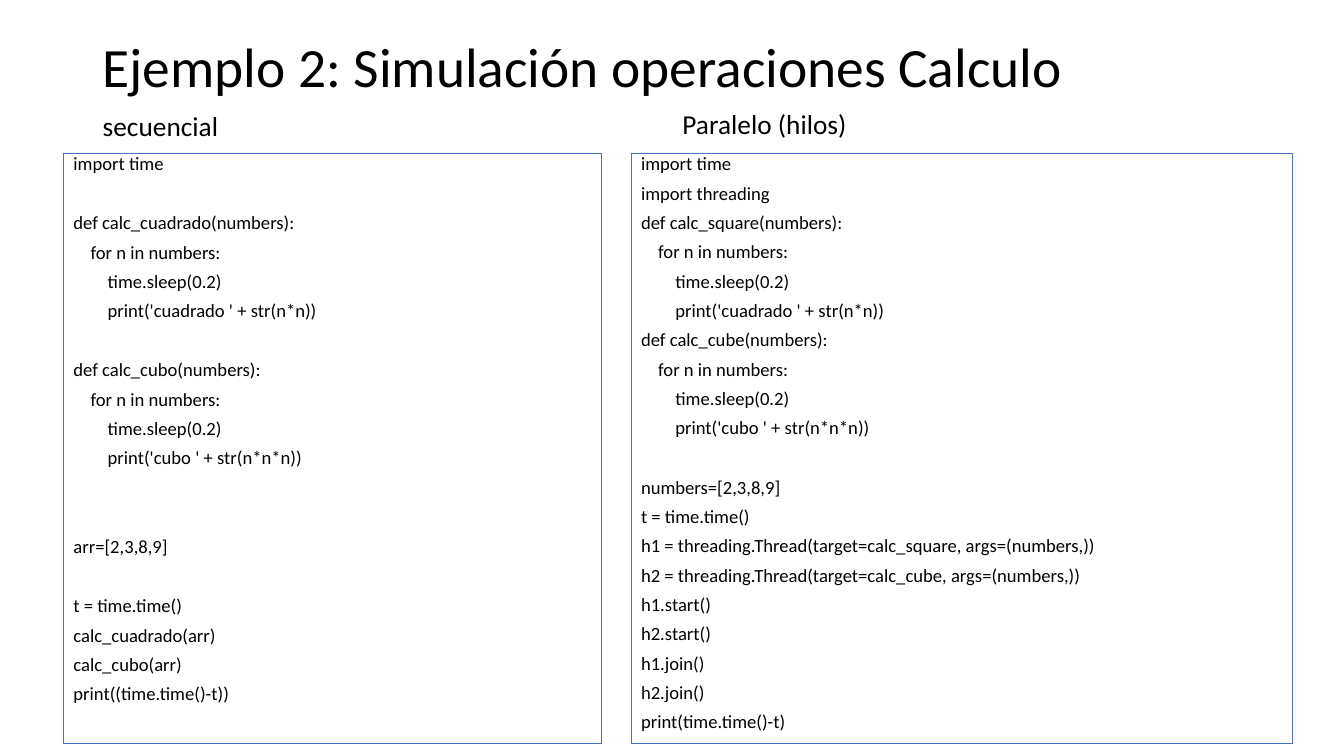
import dataclasses

import pptx
import pptx.dml.color
import pptx.enum.shapes
import pptx.enum.text
from pptx.util import Inches


@dataclasses.dataclass(frozen=True)
class Theme:
    font: str = "Calibri"
    ink: pptx.dml.color.RGBColor = pptx.dml.color.RGBColor(0, 0, 0)
    border: pptx.dml.color.RGBColor = pptx.dml.color.RGBColor(0x44, 0x72, 0xC4)
    border_width: float = 0.25
    title_size: float = 39.6
    heading_size: float = 19.5
    code_size: float = 13.3
    code_gap: float = 9.8
    code_pitch: float = 21.2
    indent: float = 0.17


THEME = Theme()

SEQUENTIAL_CODE = """\
import time

def calc_cuadrado(numbers):
    for n in numbers:
        time.sleep(0.2)
        print('cuadrado ' + str(n*n))

def calc_cubo(numbers):
    for n in numbers:
        time.sleep(0.2)
        print('cubo ' + str(n*n*n))


arr=[2,3,8,9]

t = time.time()
calc_cuadrado(arr)
calc_cubo(arr)
print((time.time()-t))"""

THREADED_CODE = """\
import time
import threading
def calc_square(numbers):
    for n in numbers:
        time.sleep(0.2)
        print('cuadrado ' + str(n*n))
def calc_cube(numbers):
    for n in numbers:
        time.sleep(0.2)
        print('cubo ' + str(n*n*n))

numbers=[2,3,8,9]
t = time.time()
h1 = threading.Thread(target=calc_square, args=(numbers,))
h2 = threading.Thread(target=calc_cube, args=(numbers,))
h1.start()
h2.start()
h1.join()
h2.join()
print(time.time()-t)"""


def apply_format(target, values):
    for name, value in values.items():
        setattr(target, name, value)


def write_line(para, text, size, layout):
    apply_format(para, {"alignment": pptx.enum.text.PP_ALIGN.LEFT, **layout})
    span = para.add_run()
    span.text = text
    apply_format(span.font, {"name": THEME.font, "size": pptx.util.Pt(size)})
    span.font.color.rgb = THEME.ink


def add_label(page, text, size, left, top, width):
    box = page.shapes.add_textbox(
        Inches(left), Inches(top), Inches(width), Inches(0.58))
    apply_format(box.text_frame, {
        "word_wrap": True,
        "vertical_anchor": pptx.enum.text.MSO_ANCHOR.MIDDLE,
    })
    write_line(box.text_frame.paragraphs[0], text, size, {"line_spacing": 0.9})


def add_code_panel(page, code, left, width):
    """Frame a listing; empty lines become spacing and leading blanks indents."""
    panel = page.shapes.add_shape(
        pptx.enum.shapes.MSO_SHAPE.RECTANGLE,
        Inches(left), Inches(1.52), Inches(width), Inches(5.85))
    panel.shadow.inherit = False
    panel.fill.background()
    panel.line.color.rgb = THEME.border
    panel.line.width = pptx.util.Pt(THEME.border_width)
    frame = panel.text_frame
    apply_format(frame, {
        "word_wrap": True,
        "vertical_anchor": pptx.enum.text.MSO_ANCHOR.TOP,
    })

    para = frame.paragraphs[0]
    space = 0
    for line in code.splitlines():
        if not line:
            space += THEME.code_pitch
            continue
        if para.runs:
            para = frame.add_paragraph()
        text = line.lstrip()
        level = (len(line) - len(text)) // 4
        write_line(para, text, THEME.code_size, {
            "line_spacing": 0.7, "space_before": pptx.util.Pt(space)})
        para._p.get_or_add_pPr().set("marL", str(Inches(level * THEME.indent)))
        space = THEME.code_gap


def main():
    deck = pptx.Presentation()
    apply_format(deck, {
        "slide_width": Inches(13.33), "slide_height": Inches(7.5)})
    page = deck.slides.add_slide(deck.slide_layouts[6])

    add_label(page, "Ejemplo 2: Simulación operaciones Calculo",
              THEME.title_size, 0.92, 0.4, 11.5)
    add_code_panel(page, SEQUENTIAL_CODE, 0.63, 5.33)
    add_code_panel(page, THREADED_CODE, 6.26, 6.56)
    add_label(page, "secuencial", THEME.heading_size, 0.92, 0.98, 1.62)
    add_label(page, "Paralelo (hilos)", THEME.heading_size, 6.67, 0.96, 2.11)

    deck.save("out.pptx")


if __name__ == "__main__":
    main()
